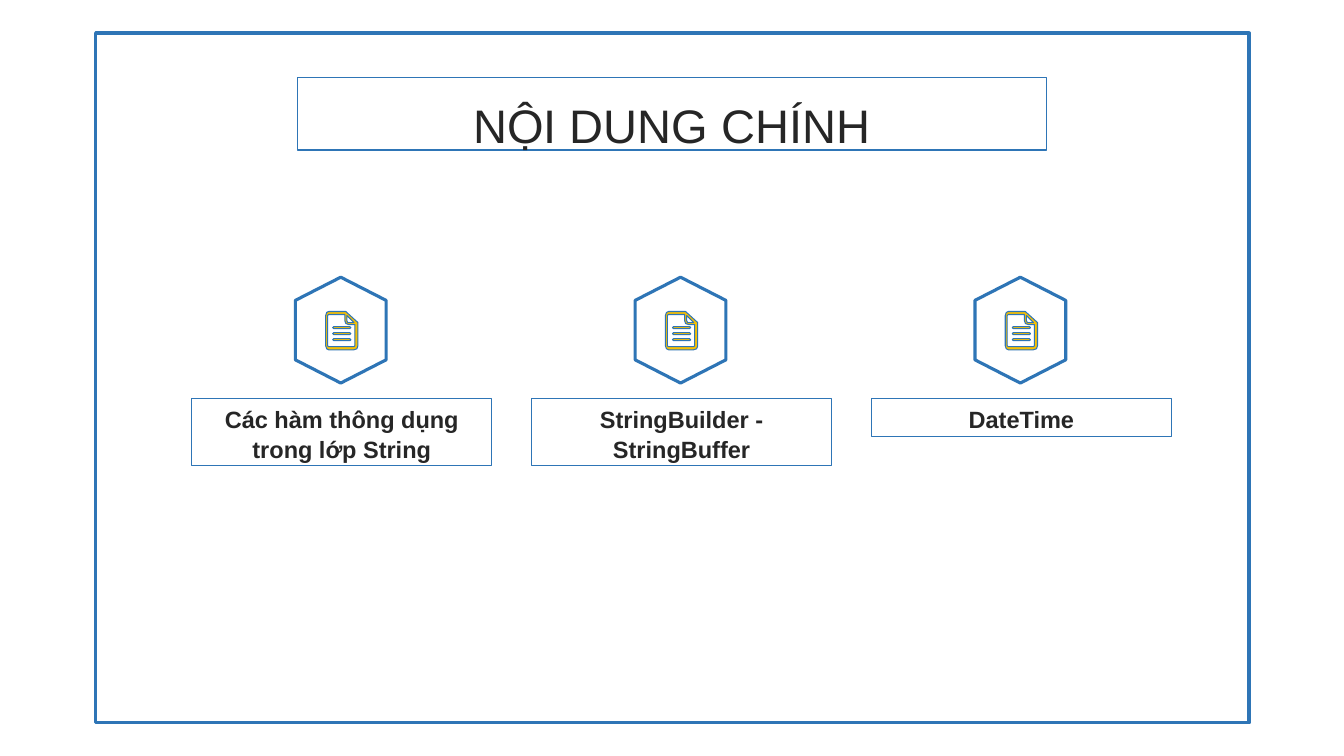
from dataclasses import dataclass

from pptx import Presentation
from pptx.dml.color import RGBColor
from pptx.enum.shapes import MSO_SHAPE as Preset
from pptx.enum.text import MSO_ANCHOR as Anchor, PP_ALIGN as Align
from pptx.util import Inches, Pt


@dataclass(frozen=True)
class Theme:
    """Hold the colours, font and type sizes of the slide."""
    blue: RGBColor = RGBColor(0x2E, 0x75, 0xB6)
    yellow: RGBColor = RGBColor(0xF8, 0xC0, 0x02)
    ink: RGBColor = RGBColor(0x26, 0x26, 0x26)
    font: str = "Arial"
    title_size: float = 33.6
    label_size: float = 16.8


THEME = Theme()
TOPICS = [
    ("Các hàm thông dụng trong lớp String", 0.67),
    ("StringBuilder - StringBuffer", 0.67),
    ("DateTime", 0.38),
]
FIRST_LEFT, COLUMN_STEP, LABEL_WIDTH = 1.9, 3.37, 2.98
HEXAGON = [(45, 0), (90, 23), (90, 82), (45, 105), (0, 82), (0, 23)]
SHEET_EDGE = [(3, 0), (20, 0), (21, 1), (32, 11), (32, 34), (31, 37), (28, 38),
              (3, 38), (1, 37), (0, 34), (0, 4), (1, 1)]
SHEET_INSIDE = [(3, 3), (19, 3), (19, 9), (20, 12), (23, 13), (29, 13),
                (29, 34), (28, 35), (3, 35), (2, 34), (2, 4)]
SHEET_FOLD = [(21, 4), (28, 11), (23, 11), (22, 11), (21, 9)]
TEXT_LINES = [
    [(8, top), (24, top), (25, top + 1), (24, top + 2), (8, top + 2), (7, top + 1)]
    for top in (15, 21, 27)
]


def outline(shape, width, fill=None):
    """Give a shape the blue line and an optional fill."""
    shape.shadow.inherit = False
    shape.line.color.rgb = THEME.blue
    shape.line.width = Pt(width)
    if fill is None:
        shape.fill.background()
    else:
        shape.fill.solid()
        shape.fill.fore_color.rgb = fill


def add_box(slide, left, top, width, height, line_width):
    """Add an unfilled rectangle."""
    box = slide.shapes.add_shape(
        Preset.RECTANGLE, Inches(left), Inches(top), Inches(width), Inches(height))
    outline(box, line_width)
    return box


def write(box, text, size, top_margin, spacing, bold=False):
    """Write one centred paragraph from the top of a box."""
    frame = box.text_frame
    frame.word_wrap = True
    frame.vertical_anchor = Anchor.TOP
    frame.margin_top = Inches(top_margin)
    frame.margin_bottom = Inches(0.05)
    paragraph = frame.paragraphs[0]
    paragraph.alignment = Align.CENTER
    paragraph.line_spacing = spacing
    run = paragraph.add_run()
    run.text = text
    run.font.name = THEME.font
    run.font.size = Pt(size)
    run.font.bold = bold
    run.font.color.rgb = THEME.ink


def add_outline(shapes, left, top, contours, line_width, fill=None):
    """Draw closed contours given in hundredths of an inch."""
    first, *others = contours
    builder = shapes.build_freeform(*first[0], scale=Inches(0.01))
    builder.add_line_segments(first[1:], close=True)
    for contour in others:
        builder.move_to(*contour[0])
        builder.add_line_segments(contour[1:], close=True)
    outline(builder.convert_to_shape(Inches(left), Inches(top)), line_width, fill)


def add_topic(slide, left, text, height):
    """Add a topic label with its document badge above."""
    label = add_box(slide, left, 3.95, LABEL_WIDTH, height, 0.75)
    write(label, text, THEME.label_size, 0.06, 1.04, bold=True)
    badge = slide.shapes.add_group_shape()
    add_outline(badge.shapes, left + 1.03, 2.75, [HEXAGON], 2.25)
    document = [SHEET_EDGE, SHEET_FOLD, SHEET_INSIDE, *TEXT_LINES]
    add_outline(badge.shapes, left + 1.33, 3.09, document, 0.75, THEME.yellow)


def main():
    """Build the contents slide and save it."""
    deck = Presentation()
    deck.slide_width, deck.slide_height = Inches(13.33), Inches(7.5)
    slide = deck.slides.add_slide(deck.slide_layouts[6])
    title = add_box(slide, 2.95, 0.77, 7.43, 0.72, 1)
    write(title, "NỘI DUNG CHÍNH", THEME.title_size, 0.08, 1.2)
    add_box(slide, 0.95, 0.33, 11.44, 6.84, 2.5)
    for column, (text, height) in enumerate(TOPICS):
        add_topic(slide, FIRST_LEFT + column * COLUMN_STEP, text, height)
    deck.save("out.pptx")


if __name__ == "__main__":
    main()
